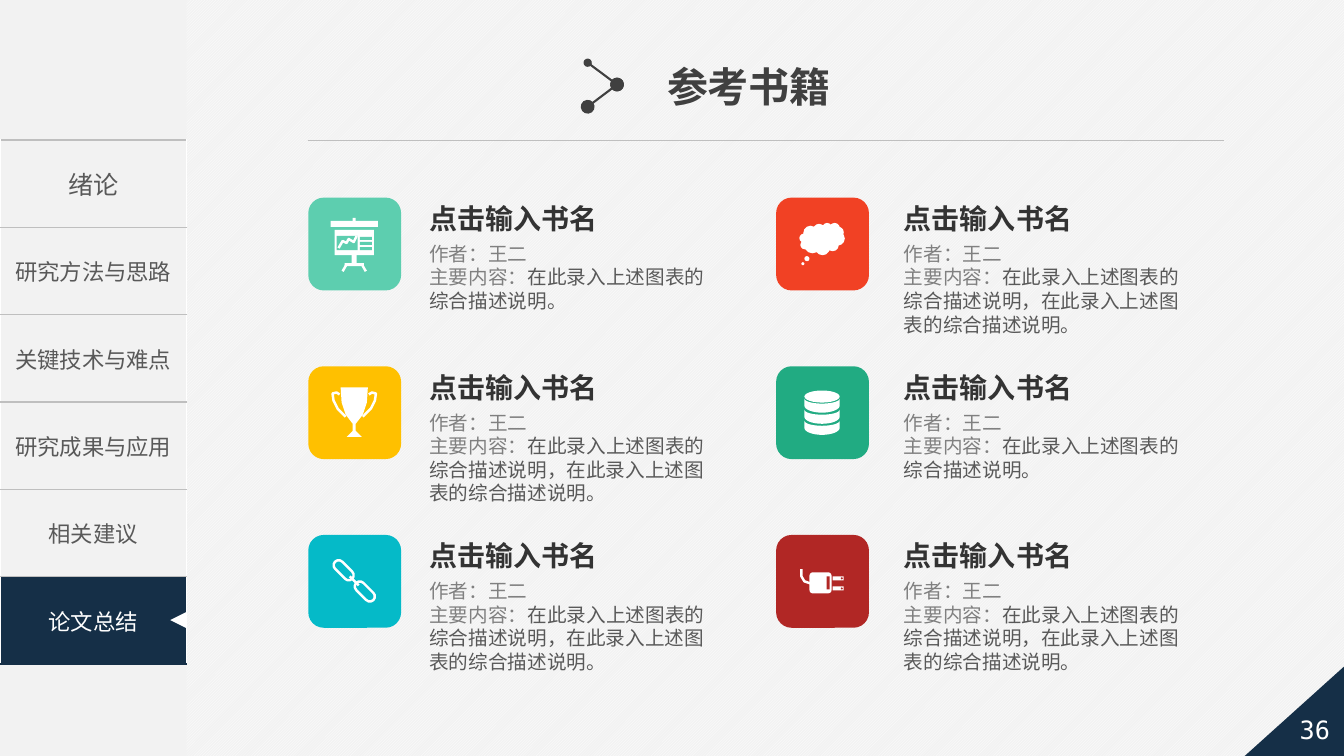
from math import cos, pi, sin
from lxml import etree
from pptx import Presentation
from pptx.dml.color import RGBColor
from pptx.enum.dml import MSO_PATTERN
from pptx.enum.shapes import MSO_CONNECTOR, MSO_SHAPE
from pptx.enum.text import MSO_ANCHOR, MSO_AUTO_SIZE, PP_ALIGN
from pptx.oxml.ns import qn
from pptx.util import Cm, Pt

RECT, ROUND, OVAL = MSO_SHAPE.RECTANGLE, MSO_SHAPE.ROUNDED_RECTANGLE, MSO_SHAPE.OVAL
TRIANGLE, CORNER = MSO_SHAPE.ISOSCELES_TRIANGLE, MSO_SHAPE.RIGHT_TRIANGLE
CLOUD, LINE = MSO_SHAPE.CLOUD, MSO_CONNECTOR.STRAIGHT
LEFT, CENTER = PP_ALIGN.LEFT, PP_ALIGN.CENTER
MIDDLE = MSO_ANCHOR.MIDDLE

THEME = {
    "font": "Noto Sans CJK SC", "title_font": "Arial", "number_font": "DejaVu Sans Mono",
    "white": "FFFFFF", "panel": "F2F2F2", "navy": "152F47", "rule": "BFBFBF",
    "title": "404040", "heading": "333333", "label": "808080", "body": "595959",
    "title_pt": 29.3, "heading_pt": 20, "body_pt": 14, "nav_first_pt": 18, "nav_pt": 16,
    "number_pt": 18, "stroke_pt": 1.75,
}

# Content
TITLE, PAGE = "参考书籍", "36"
NAV = ["绪论", "研究方法与思路", "关键技术与难点", "研究成果与应用", "相关建议", "论文总结"]
HEADING, AUTHOR, LABEL = "点击输入书名", "作者：王二", "主要内容："
SHORT = "在此录入上述图表的综合描述说明。"
LONG = "在此录入上述图表的综合描述说明，在此录入上述图表的综合描述说明。"
BOOKS = [  # row by row: icon, tile colour, description
    ("board", "5DCEAF", SHORT), ("cloud", "F14124", LONG),
    ("trophy", "FFC000", LONG), ("database", "21AB82", SHORT),
    ("chain", "05BAC8", LONG), ("plug", "B12725", LONG),
]


# Icons on a tile of 92 units
def mirror(points):
    return [(91 - x, y) for x, y in points]


def disk(y):
    arc = [(17.5 * cos(k * pi / 16), sin(k * pi / 16)) for k in range(17)]
    return ([(45.5 + x, y + 5 * h) for x, h in arc]
            + [(45.5 + x, y + 7 + 7 * h) for x, h in reversed(arc)])


CUP = [(59, 21), (58, 36), (54, 48), (47, 57), (47, 64), (53, 70)]
HANDLE = [(60, 28), (63, 26), (67, 27), (66, 34), (62, 42), (54, 50)]
LEG = [(53, 66), (57, 73)]
PARTS = {  # kind, left, top, width, height, in white or cut out in the tile colour
    "board": [(RECT, 22, 23, 47, 6, True), (RECT, 44, 20, 3, 4, True),
              (RECT, 26, 32, 39, 25, True), (RECT, 28, 38, 21, 14, False),
              (RECT, 43, 56, 5, 11, True), (RECT, 36, 65, 19, 3, True)]
             + [(RECT, 51, y, 12, 3, False) for y in (39, 44, 49)],
    "cloud": [(CLOUD, 23, 25, 45, 32, True), (OVAL, 28, 58, 5, 5, True),
              (OVAL, 25, 64, 3, 3, True)],
    "database": [(OVAL, 28, 24, 35, 12, True)],
    "plug": [(ROUND, 33, 37, 22, 21, True), (RECT, 50, 41, 3, 13, False)]
            + [(RECT, 56, y, 11, 4, True) for y in (41, 51)]
            + [(OVAL, 64, y, 2, 2, False) for y in (42, 52)],
}
FILLED = {"trophy": [CUP + mirror(CUP)[::-1]], "database": [disk(y) for y in (32, 43, 54)]}
STROKES = {
    "board": [[(30, 50), (34, 43), (38, 45), (40, 41), (45, 44), (48, 38)], LEG, mirror(LEG)],
    "trophy": [HANDLE, mirror(HANDLE)],
    "chain": [[(41, 41), (50, 50)]],
    "plug": [[(25, 34), (25, 41), (28, 46), (34, 48)]],
}
LINKS = {"chain": [35, 56]}


# Drawing helpers
def rgb(key):
    return RGBColor.from_string(THEME.get(key, key))


def paint(sp, color):
    sp.fill.solid()
    sp.fill.fore_color.rgb = rgb(color)
    sp.line.fill.background()
    sp.shadow.inherit = False
    return sp


def stroke(sp):
    sp.fill.background()
    sp.line.color.rgb, sp.line.width = rgb("white"), Pt(THEME["stroke_pt"])
    sp.shadow.inherit = False


def shape(shapes, kind, x, y, w, h, color):
    return paint(shapes.add_shape(kind, Cm(x), Cm(y), Cm(w), Cm(h)), color)


def line(shapes, x1, y1, x2, y2, color, width, ends=()):
    cx = shapes.add_connector(LINE, Cm(x1), Cm(y1), Cm(x2), Cm(y2))
    cx.line.color.rgb, cx.line.width = rgb(color), Pt(width)
    ln = cx._element.spPr.find(qn("a:ln"))
    for tag, size in zip(("a:headEnd", "a:tailEnd"), ends):
        etree.SubElement(ln, qn(tag), type="oval", w=size, len=size)
    etree.SubElement(cx._element.spPr, qn("a:effectLst"))


def add_run(p, text, size, color, bold=False, font="font"):
    r = p.add_run()
    r.text = text
    r.font.size, r.font.bold, r.font.color.rgb = Pt(size), bold, rgb(color)
    r.font.name = THEME[font]
    etree.SubElement(r._r.get_or_add_rPr(), qn("a:ea"), typeface=THEME["font"])


def text_box(x, y, w, h, paragraphs, wrap=True, align=LEFT):
    tf = s.shapes.add_textbox(Cm(x), Cm(y), Cm(w), Cm(h)).text_frame
    tf.word_wrap, tf.auto_size = wrap, MSO_AUTO_SIZE.SHAPE_TO_FIT_TEXT
    for i, runs in enumerate(paragraphs):
        p = tf.add_paragraph() if i else tf.paragraphs[0]
        p.alignment = align
        for run in runs:
            add_run(p, *run)


def icon_tile(name, x, y, color):
    shapes, unit = s.shapes.add_group_shape().shapes, TILE / 92
    shape(shapes, ROUND, x, y, TILE, TILE, color)

    def outline(points, close):
        (x0, y0), *rest = [(px * 100, py * 100) for px, py in points]
        fb = shapes.build_freeform(x0, y0, scale=Cm(unit) / 100)
        fb.add_line_segments(rest, close=close)
        return fb.convert_to_shape(Cm(x), Cm(y))

    for kind, left, top, w, h, white in PARTS.get(name, []):
        shape(shapes, kind, x + left * unit, y + top * unit, w * unit, h * unit,
              "white" if white else color)
    for points in FILLED.get(name, []):
        paint(outline(points, True), "white")
    for points in STROKES.get(name, []):
        stroke(outline(points, False))
    for center in LINKS.get(name, []):
        link = shape(shapes, ROUND, x + (center - 12) * unit, y + (center - 5) * unit,
                     24 * unit, 10 * unit, "white")
        link.adjustments[0], link.rotation = 0.5, 45
        stroke(link)


prs = Presentation()
prs.slide_width, prs.slide_height = Cm(33.87), Cm(19.05)
s = prs.slides.add_slide(prs.slide_layouts[6])
bg = s.background.fill
bg.patterned()
bg.pattern = MSO_PATTERN.LIGHT_UPWARD_DIAGONAL
bg.fore_color.rgb, bg.back_color.rgb = rgb("white"), rgb("panel")

# Sidebar navigation, last entry active
SIDE, ROW, TOP = 4.7, 2.2, 3.53
shape(s.shapes, RECT, 0, 0, SIDE, 19.05, "panel")
tbl = s.shapes.add_table(len(NAV), 1, 0, Cm(TOP), Cm(SIDE), Cm(ROW * len(NAV))).table
tbl.first_row = tbl.horz_banding = False
for i, entry in enumerate(NAV):
    cell, active = tbl.cell(i, 0), i == len(NAV) - 1
    cell.vertical_anchor = MIDDLE
    p = cell.text_frame.paragraphs[0]
    p.alignment = CENTER
    add_run(p, entry, THEME["nav_pt" if i else "nav_first_pt"], "white" if active else "body")
    for tag in ("a:lnT", "a:lnB"):
        ln = etree.SubElement(cell._tc.get_or_add_tcPr(), qn(tag), w=str(Pt(1)))
        fill = etree.SubElement(ln, qn("a:solidFill"))
        edge = "navy" if active and tag == "a:lnB" else "rule"
        etree.SubElement(fill, qn("a:srgbClr"), val=THEME[edge])
    if active:
        cell.fill.solid()
        cell.fill.fore_color.rgb = rgb("navy")
    else:
        cell.fill.background()
shape(s.shapes, TRIANGLE, SIDE - 0.41, 15.42, 0.41, 0.41, "white").rotation = 270

# Title with its node mark and rule
line(s.shapes, 7.75, TOP, 30.84, TOP, "rule", 0.5)
mark = s.shapes.add_group_shape().shapes
line(mark, 14.81, 1.58, 15.55, 2.13, "title", 1.5, ("med", "lg"))
line(mark, 15.55, 2.13, 14.81, 2.69, "title", 1.5, ("lg", "lg"))
text_box(16.56, 1.42, 4.7, 1.5,
         [[(TITLE, THEME["title_pt"], "title", True, "title_font")]], wrap=False)

# Books: two columns, three rows
TILE, PITCH, COLUMNS = 2.34, 4.25, [(7.77, 10.57), (19.56, 22.53)]
for i, (icon, color, about) in enumerate(BOOKS):
    tile_x, text_x = COLUMNS[i % 2]
    y = 4.98 + PITCH * (i // 2)
    size = THEME["body_pt"]
    icon_tile(icon, tile_x, y, color)
    text_box(text_x, y - 0.03, 4.78, 1.12,
             [[(HEADING, THEME["heading_pt"], "heading", True)]], wrap=False)
    text_box(text_x, y + 0.99, 7.54, 2.06 if about == SHORT else 2.64,
             [[(AUTHOR, size, "label")], [(LABEL, size, "label"), (about, size, "body")]])

# Page number corner
corner = shape(s.shapes, CORNER, 31.37, 16.8, 2.5, 2.25, "navy")
corner._element.spPr.find(qn("a:xfrm")).set("flipH", "1")
text_box(32.4, 17.87, 1.47, 1.02,
         [[(PAGE, THEME["number_pt"], "white", False, "number_font")]], align=CENTER)

prs.save("out.pptx")
